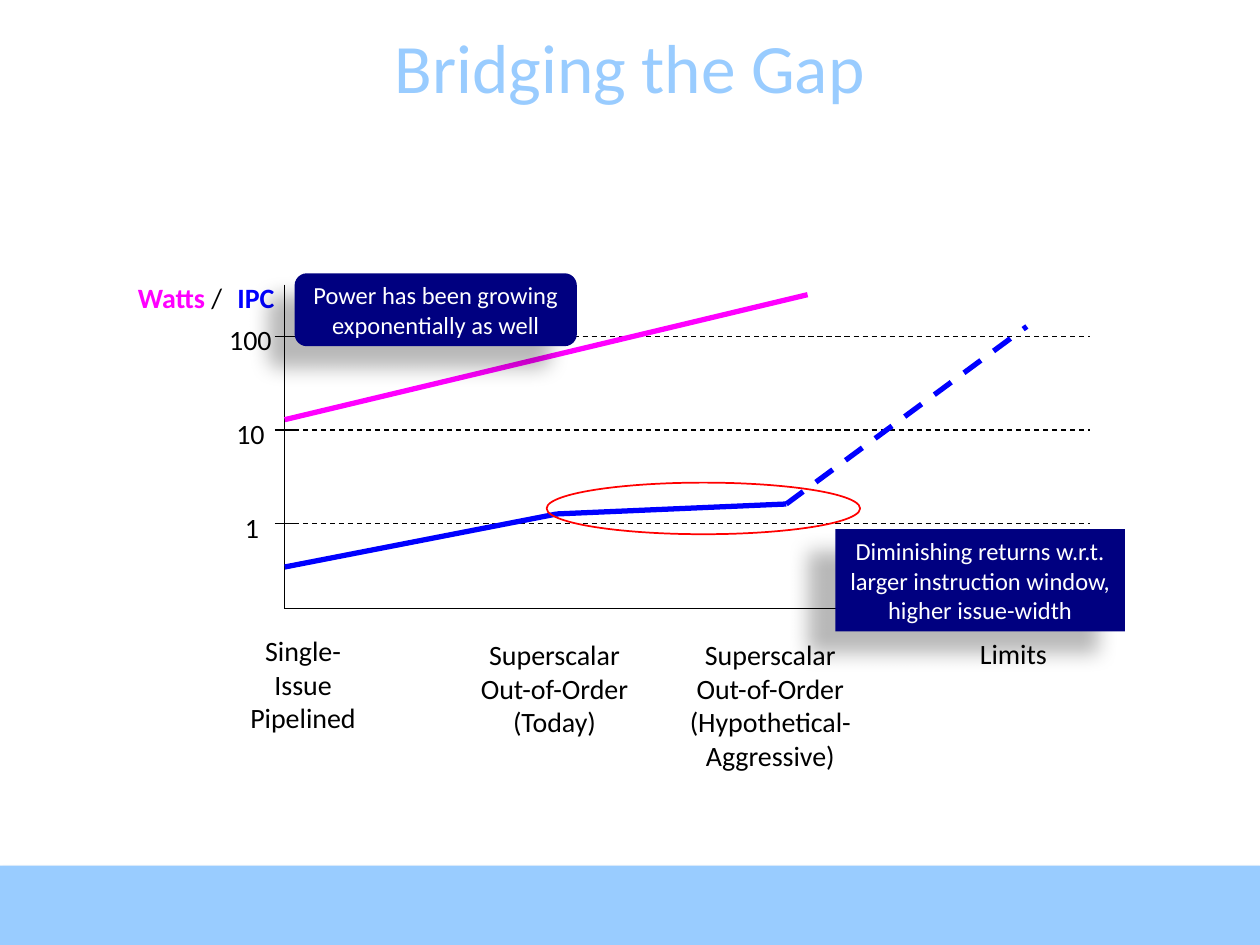
"""Build the slide on the gap between power and IPC growth."""
from lxml import etree
from pptx import Presentation
from pptx.dml.color import RGBColor
from pptx.enum import dml, shapes, text
from pptx.oxml import ns, parse_xml
from pptx.util import Cm, Pt

SKY = RGBColor(0x99, 0xCC, 0xFF)
NAVY = RGBColor(0, 0, 0x80)
BLUE = RGBColor(0, 0, 0xFF)
PINK = RGBColor(0xFF, 0, 0xFF)
RED = RGBColor(0xFF, 0, 0)
BLACK = RGBColor(0, 0, 0)
WHITE = RGBColor(0xFF, 0xFF, 0xFF)
KIND = shapes.MSO_SHAPE
DASH = dml.MSO_LINE.DASH


def write(shape, rows, size, wrap=False, anchor=text.MSO_ANCHOR.TOP):
    frame = shape.text_frame
    look = {"word_wrap": wrap, "vertical_anchor": anchor}
    for key, val in look.items():
        setattr(frame, key, val)
    for i, runs in enumerate(rows):
        para = frame.add_paragraph() if i else frame.paragraphs[0]
        para.alignment = text.PP_ALIGN.CENTER
        for words, tint, bold in runs:
            run = para.add_run()
            run.text = words
            run.font.color.rgb = tint
            for key, val in {"name": "Calibri", "size": Pt(size), "bold": bold}.items():
                setattr(run.font, key, val)


def draw(start, end, tint=BLACK, width=0.75, dash=None):
    ends = [Cm(n) for n in (*start, *end)]
    link = slide.shapes.add_connector(shapes.MSO_CONNECTOR.STRAIGHT, *ends)
    link.line.color.rgb = tint
    for key, val in {"width": Pt(width), "dash_style": dash}.items():
        setattr(link.line, key, val)
    etree.SubElement(link._element.spPr, ns.qn("a:effectLst"))


deck = Presentation()
deck.slide_width, deck.slide_height = Cm(25.4), Cm(19.05)
slide = deck.slides.add_slide(deck.slide_layouts[6])

title = slide.shapes.add_textbox(Cm(0), Cm(0.53), Cm(25.4), Cm(1.6))
write(title, [[("Bridging the Gap", SKY, False)]], 39.6, True, text.MSO_ANCHOR.MIDDLE)

left, right, top, base = 5.74, 21.97, 5.74, 12.27
draw((left, top), (left, base))
draw((left, base), (right, base))

marks = [("100", 5.05), ("10", 5.05), ("1", 5.08)]
for i, (mark, mid) in enumerate(marks):
    y = 6.78 + 1.89 * i
    draw((left - 0.2, y), (left + 0.2, y))
    draw((left, y), (right, y), dash=DASH)
    box = slide.shapes.add_textbox(Cm(mid - 0.7), Cm(y - 0.4), Cm(1.4), Cm(0.94))
    write(box, [[(mark, BLACK, False)]], 16)

heads = [
    (3.63, 2.46, [("Watts ", PINK, True), ("/", BLACK, False)]),
    (5.16, 1.52, [("IPC", BLUE, True)]),
]
for mid, wide, runs in heads:
    box = slide.shapes.add_textbox(Cm(mid - wide / 2), Cm(5.54), Cm(wide), Cm(0.94))
    write(box, [runs], 16)

stages = [
    (6.11, 12.65, 3.12, ["Single-Issue", "Pipelined"]),
    (11.18, 12.73, 3.76, ["Superscalar", "Out-of-Order", "(Today)"]),
    (15.53, 12.73, 3.84, ["Superscalar", "Out-of-Order", "(Hypothetical-", "Aggressive)"]),
    (20.43, 12.7, 1.9, ["Limits"]),
]
for mid, y, wide, rows in stages:
    box = slide.shapes.add_textbox(Cm(mid - wide / 2), Cm(y), Cm(wide), Cm(0.25 + 0.68 * len(rows)))
    write(box, [[(row, BLACK, False)] for row in rows], 16, rows[0] == "Single-Issue")

trend = [(left, 11.43), (11.23, 10.36), (15.85, 10.16), (20.7, 6.58)]
for start, end, dash in zip(trend, trend[1:], (None, None, DASH)):
    draw(start, end, BLUE, 3, dash)
draw((left, 8.46), (16.28, 5.94), PINK, 3)

ring = slide.shapes.add_shape(KIND.OVAL, Cm(11.02), Cm(9.73), Cm(6.32), Cm(1.04))
ring.shadow.inherit = False
ring.fill.background()
ring.line.color.rgb = RED
ring.line.width = Pt(1)

deep = (28, 11.8, 19.7, 141)
blocks = [
    (KIND.RECTANGLE, (0, 17.45, 25.4, 1.6), SKY, (35, 3.1, 1.8, 90), []),
    (KIND.RECTANGLE, (16.84, 10.67, 5.84, 2.06), NAVY, deep,
     ["Diminishing returns w.r.t.", "larger instruction window,", "higher issue-width"]),
    (KIND.ROUNDED_RECTANGLE, (5.94, 5.51, 5.69, 1.47), NAVY, deep,
     ["Power has been growing", "exponentially as well"]),
]
for kind, place, tint, (alpha, blur, dist, turn), rows in blocks:
    block = slide.shapes.add_shape(kind, *[Cm(n) for n in place])
    block.fill.solid()
    block.fill.fore_color.rgb = tint
    block.line.fill.background()
    block.shadow.inherit = False
    glow = block._element.spPr.find(ns.qn("a:effectLst"))
    glow.append(parse_xml(
        f'<a:outerShdw {ns.nsdecls("a")} blurRad="{Pt(blur)}" dist="{Pt(dist)}" '
        f'dir="{turn * 60000}" algn="ctr" rotWithShape="0"><a:srgbClr val="000000">'
        f'<a:alpha val="{alpha * 1000}"/></a:srgbClr></a:outerShdw>'))
    write(block, [[(row, WHITE, False)] for row in rows], 14, anchor=text.MSO_ANCHOR.MIDDLE)

deck.save("out.pptx")
